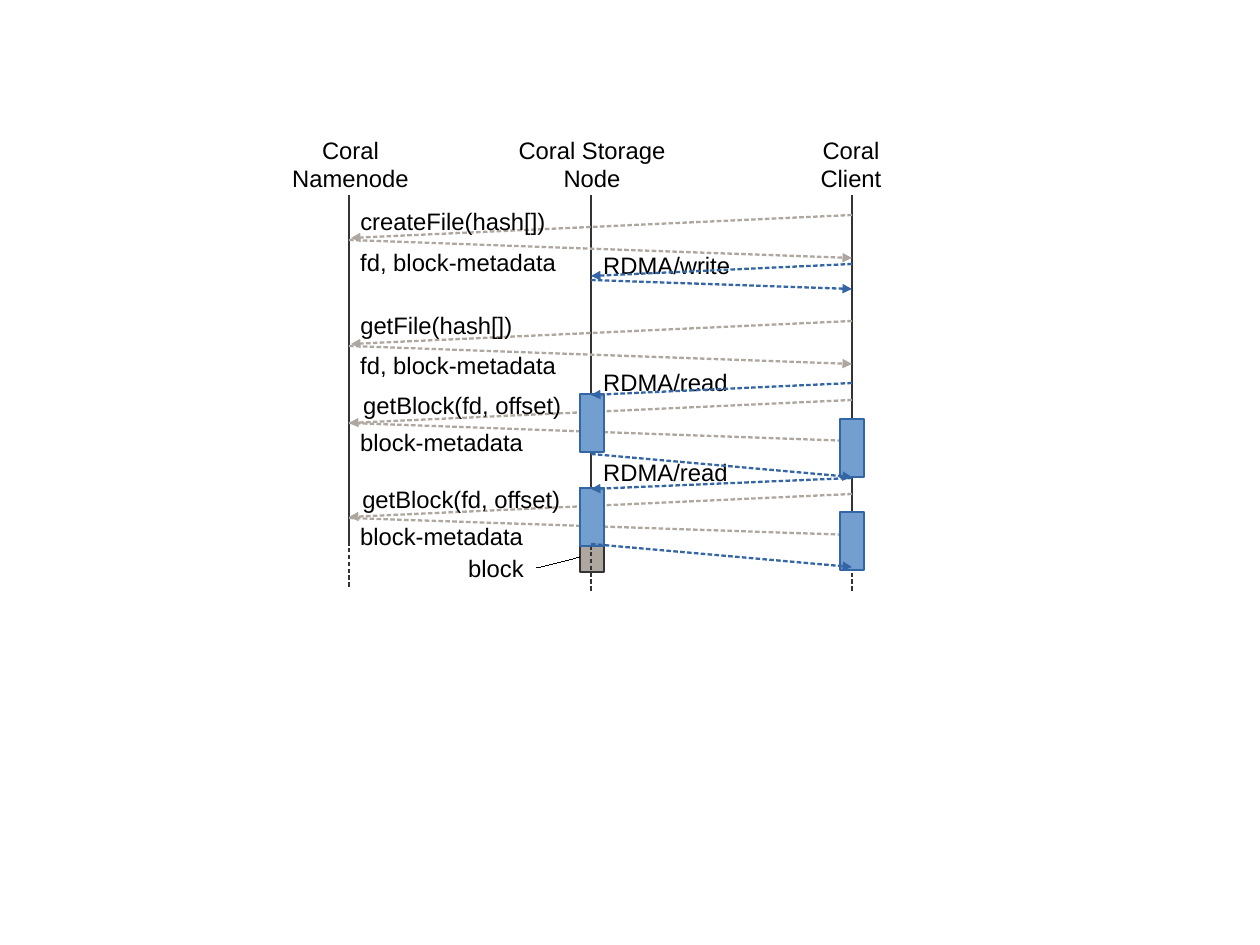
"""Build a sequence diagram of a namenode, a storage node and a client."""
from lxml import etree
from pptx import Presentation
from pptx.dml.color import RGBColor
from pptx.enum.shapes import MSO_CONNECTOR, MSO_SHAPE
from pptx.enum.text import PP_ALIGN
from pptx.oxml.ns import qn
from pptx.util import Pt

PX = 8000
STRAIGHT, RECT = MSO_CONNECTOR.STRAIGHT, MSO_SHAPE.RECTANGLE
LEFT, CENTER = PP_ALIGN.LEFT, PP_ALIGN.CENTER
COLORS = {"ink": "333333", "black": "000000", "grey": "AEA79F",
          "blue": "3465A4", "fill": "729FCF"}
NAMENODE, STORAGE, CLIENT = 349, 591, 852
LINE_WIDTH, HAIRLINE = 1.45, 0.01

prs = Presentation()
prs.slide_width, prs.slide_height = 1260 * PX, 945 * PX
s = prs.slides.add_slide(prs.slide_layouts[6])


def add_line(x1, y1, x2, y2, color, width=LINE_WIDTH, dashed=False, arrow=False):
    c = s.shapes.add_connector(STRAIGHT, x1 * PX, y1 * PX, x2 * PX, y2 * PX)
    c.line.color.rgb = RGBColor.from_string(COLORS[color])
    c.line.width = Pt(width)
    ln = c._element.spPr.find(qn("a:ln"))
    if dashed:
        dash = etree.SubElement(ln, qn("a:custDash"))
        etree.SubElement(dash, qn("a:ds"), d="200000", sp="100000")
    if arrow:
        etree.SubElement(ln, qn("a:tailEnd"), type="triangle")
    etree.SubElement(c._element.spPr, qn("a:effectLst"))


def add_box(x, y, w, h, fill, outline):
    sp = s.shapes.add_shape(RECT, x * PX, y * PX, w * PX, h * PX)
    sp.shadow.inherit = False
    sp.fill.solid()
    sp.fill.fore_color.rgb = RGBColor.from_string(COLORS[fill])
    sp.line.color.rgb = RGBColor.from_string(COLORS[outline])
    sp.line.width = Pt(LINE_WIDTH)


add_box(580, 488, 24, 84, "grey", "ink")

for x, dash_top in [(NAMENODE, 541), (STORAGE, 545), (CLIENT, 545)]:
    add_line(x, dash_top, x, dash_top + 46, "ink", dashed=True)
    add_line(x, 195, x, 546, "ink")

for request_y, reply_y, reply_end, target in [
        (215, 240, 258, 351), (321, 346, 364, 351),
        (400, 423, 441, NAMENODE), (494, 518, 535, NAMENODE)]:
    add_line(CLIENT, request_y, target, request_y + 23, "grey", dashed=True, arrow=True)
    add_line(NAMENODE, reply_y, CLIENT, reply_end, "grey", dashed=True, arrow=True)

labels = [
    (265, 130, 171, 65, "Coral Namenode", CENTER),
    (485, 130, 214, 65, "Coral Storage Node", CENTER),
    (783, 130, 136, 65, "Coral Client", CENTER),
    (349, 201, 240, 38, "createFile(hash[])", LEFT),
    (349, 242, 242, 38, "fd, block-metadata", LEFT),
    (592, 245, 259, 38, "RDMA/write", LEFT),
    (349, 305, 240, 38, "getFile(hash[])", LEFT),
    (349, 345, 242, 38, "fd, block-metadata", LEFT),
    (592, 362, 259, 38, "RDMA/read", LEFT),
    (352, 385, 240, 38, "getBlock(fd, offset)", LEFT),
    (349, 422, 242, 38, "block-metadata", LEFT),
    (592, 452, 259, 38, "RDMA/read", LEFT),
    (351, 479, 240, 38, "getBlock(fd, offset)", LEFT),
    (349, 516, 242, 38, "block-metadata", LEFT),
    (457, 548, 80, 38, "block", LEFT),
]
for x, y, w, h, text, align in labels:
    tf = s.shapes.add_textbox(x * PX, y * PX, w * PX, h * PX).text_frame
    tf.word_wrap = True
    p = tf.paragraphs[0]
    p.alignment = align
    r = p.add_run()
    r.text = text
    r.font.name = "Arial"
    r.font.size = Pt(15)
    r.font.color.rgb = RGBColor.from_string(COLORS["black"])

for x, y in [(580, 394), (580, 488), (840, 419), (840, 512)]:
    add_box(x, y, 24, 58, "fill", "blue")

for start, y1, end, y2 in [
        (CLIENT, 264, STORAGE, 276), (STORAGE, 280, CLIENT, 289),
        (CLIENT, 383, STORAGE, 395), (STORAGE, 454, CLIENT, 477),
        (CLIENT, 478, STORAGE, 489), (STORAGE, 544, CLIENT, 567)]:
    add_line(start, y1, end, y2, "blue", dashed=True, arrow=True)

add_line(580, 557, 537, 568, "black", width=HAIRLINE)

prs.save("out.pptx")
